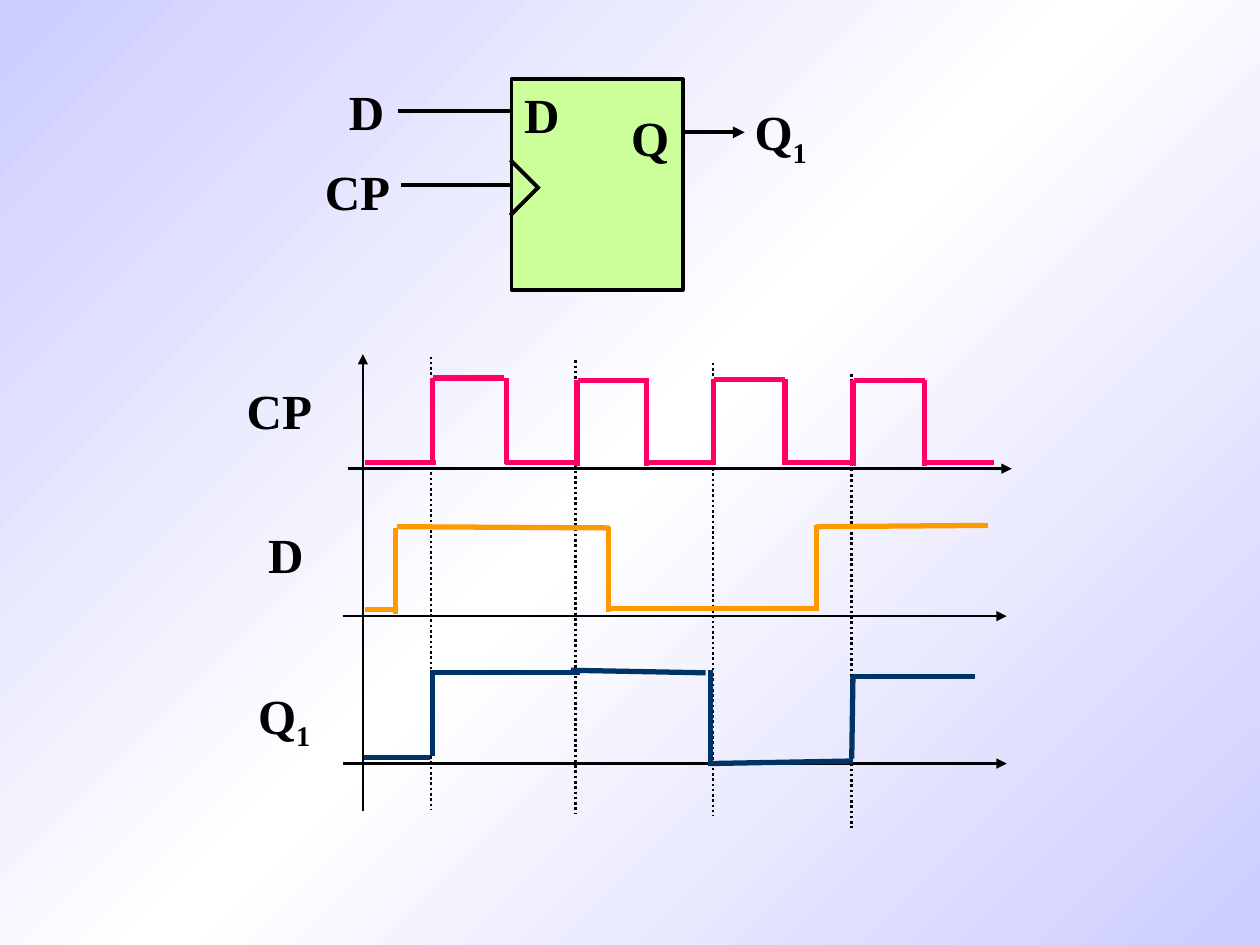
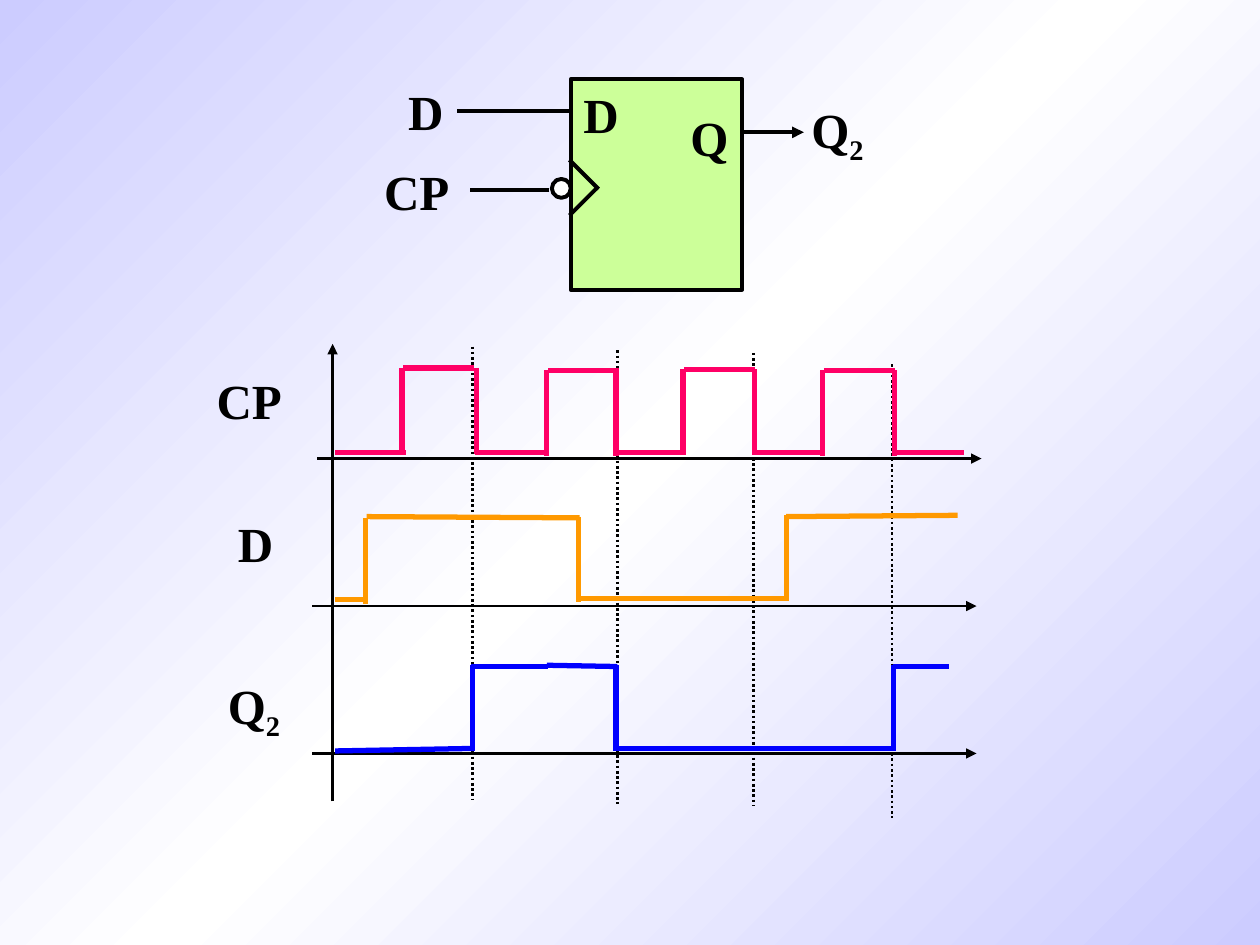
from copy import deepcopy
from dataclasses import dataclass

from lxml.etree import SubElement
from pptx import Presentation
from pptx.dml.color import RGBColor
from pptx.enum.dml import MSO_LINE
from pptx.enum.shapes import MSO_CONNECTOR, MSO_SHAPE
from pptx.enum.text import MSO_ANCHOR, MSO_AUTO_SIZE, PP_ALIGN
from pptx.oxml.ns import qn
from pptx.util import Emu, Pt

PX = 9144  # 100 px to the inch
FONT = "Times New Roman"
BLACK, WHITE, LAVENDER = "000000", "FFFFFF", "CCCCFF"
BLOCK_GREEN, CLOCK_PINK, DATA_ORANGE = "CCFF99", "FF0066", "FF9900"

Stroke = tuple[int, int, int, int]  # x1, y1, x2, y2


@dataclass(frozen=True)
class Pen:
    color: str
    width: float
    dotted: bool = False
    arrow: bool = False


@dataclass(frozen=True)
class Label:
    text: str
    left: int
    top: int
    width: int
    height: int = 57
    subscript: str = ""
    centered: bool = False


@dataclass(frozen=True)
class Pulse:
    rise: int
    fall: int
    top: int


@dataclass(frozen=True)
class FlipFlopPage:
    output: str  # subscript of Q
    inverted_clock: bool
    block_dx: int
    output_at: tuple[int, int]
    chart_dx: int
    chart_dy: int
    edges: tuple[int, ...]  # where the clock samples D
    output_color: str
    output_wave: tuple[Stroke, ...]


AXIS = Pen(BLACK, 1.5)
AXIS_ARROW = Pen(BLACK, 1.5, arrow=True)
EDGE = Pen(BLACK, 1.5, dotted=True)
WIRE = Pen(BLACK, 2.25)
WIRE_ARROW = Pen(BLACK, 2.25, arrow=True)

# Shared timing chart
AXES = ((276, 372, 803, 372), (272, 489, 799, 489),
        (272, 606, 799, 606), (288, 644, 288, 281))
EDGE_TOPS, EDGE_LENGTH = (283, 286, 288, 297), 360
PULSES = (Pulse(343, 402, 300), Pulse(458, 513, 302),
          Pulse(566, 623, 301), Pulse(677, 734, 302))
PULSE_WIDTH, PULSE_HEIGHT, CLOCK_LOW = 56, 68, 367
DATA_WAVE = ((290, 484, 316, 484), (314, 419, 314, 487), (315, 418, 484, 419),
             (483, 418, 483, 486), (484, 483, 648, 483),
             (648, 417, 648, 485), (648, 418, 784, 417))

PAGES = (
    FlipFlopPage("1", False, 0, (589, 76), 0, 0, (342, 457, 566, 676), "003366",
                 ((289, 601, 341, 601), (343, 600, 343, 532), (343, 534, 460, 534),
                  (453, 532, 560, 534), (564, 608, 564, 532), (563, 606, 677, 604),
                  (676, 602, 677, 536), (676, 537, 774, 537))),
    FlipFlopPage("2", True, 47, (634, 74), -24, -8, (375, 490, 598, 708), "0000FF",
                 ((266, 596, 376, 594), (375, 596, 375, 528), (374, 529, 435, 529),
                  (434, 528, 490, 529), (489, 596, 489, 528), (491, 594, 711, 594),
                  (709, 594, 709, 528), (709, 529, 753, 529))),
)


def px(length: int) -> Emu:
    return Emu(length * PX)


def rgb(color: str) -> RGBColor:
    return RGBColor.from_string(color)


def set_background(master) -> None:
    """Give every page the diagonal lavender-white-lavender gradient."""
    fill = master.background.fill
    fill.gradient()
    stop_list = next(master.element.iter(qn("a:gsLst")))
    stop_list.append(deepcopy(stop_list[0]))
    colors = ((0, LAVENDER), (0.5, WHITE), (1, LAVENDER))
    for stop, (position, color) in zip(fill.gradient_stops, colors):
        stop.position = position
        stop.color.rgb = rgb(color)
    fill.gradient_angle = 135


def draw_line(page, stroke: Stroke, pen: Pen, dx: int = 0, dy: int = 0):
    x1, y1, x2, y2 = stroke
    line = page.shapes.add_connector(MSO_CONNECTOR.STRAIGHT, px(x1 + dx), px(y1 + dy),
                                     px(x2 + dx), px(y2 + dy))
    line.line.color.rgb = rgb(pen.color)
    line.line.width = Pt(pen.width)
    if pen.dotted:
        line.line.dash_style = MSO_LINE.ROUND_DOT
    properties = line._element.spPr
    if pen.arrow:
        SubElement(properties.find(qn("a:ln")), qn("a:tailEnd"), type="triangle")
    SubElement(properties, qn("a:effectLst"))
    return line


def draw_shape(page, preset: MSO_SHAPE, left: int, top: int, width: int, height: int,
               color: str):
    shape = page.shapes.add_shape(preset, px(left), px(top), px(width), px(height))
    shape.shadow.inherit = False
    shape.fill.solid()
    shape.fill.fore_color.rgb = rgb(color)
    shape.line.color.rgb = rgb(BLACK)
    shape.line.width = Pt(2.25)
    return shape


def draw_label(page, label: Label, dx: int = 0, dy: int = 0) -> None:
    box = page.shapes.add_textbox(px(label.left + dx), px(label.top + dy),
                                  px(label.width), px(label.height))
    frame = box.text_frame
    frame.word_wrap = not label.centered
    frame.auto_size = MSO_AUTO_SIZE.SHAPE_TO_FIT_TEXT
    para = frame.paragraphs[0]
    para.text = label.text
    para.space_before = Pt(17.5)
    if label.centered:
        frame.vertical_anchor = MSO_ANCHOR.MIDDLE
        para.alignment = PP_ALIGN.CENTER
    if label.subscript:
        span = para.add_run()
        span.text = label.subscript
        span._r.get_or_add_rPr().set("baseline", "-25000")
    for span in para.runs:
        span.font.name = FONT
        span.font.size = Pt(28)
        span.font.bold = True
        span.font.color.rgb = rgb(BLACK)


def clock_wave() -> list[Stroke]:
    """Low levels after the axis and each fall, and three sides of each pulse."""
    starts = [290] + [pulse.fall - 1 for pulse in PULSES]
    strokes = [(x, CLOCK_LOW, x + PULSE_WIDTH, CLOCK_LOW) for x in starts]
    for pulse in PULSES:
        bottom = pulse.top + PULSE_HEIGHT
        strokes += [(pulse.rise, pulse.top, pulse.rise, bottom),
                    (pulse.rise + 1, pulse.top, pulse.rise + 1 + PULSE_WIDTH, pulse.top),
                    (pulse.fall, pulse.top, pulse.fall, bottom)]
    return strokes


def draw_timing_chart(page, data: FlipFlopPage) -> None:
    shift = data.chart_dx, data.chart_dy
    for label in (Label("CP", 186, 297, 75), Label("D", 203, 411, 67),
                  Label("Q", 195, 539, 75, 63, data.output)):
        draw_label(page, label, *shift)
    # Sampling edges and axes
    for x, top in zip(data.edges, EDGE_TOPS):
        draw_line(page, (x, top, x, top + EDGE_LENGTH), EDGE, 0, data.chart_dy)
    for axis in AXES:
        draw_line(page, axis, AXIS_ARROW, *shift)
    # Clock, data and output signals
    for stroke in clock_wave():
        draw_line(page, stroke, Pen(CLOCK_PINK, 3), *shift)
    for stroke in DATA_WAVE:
        draw_line(page, stroke, Pen(DATA_ORANGE, 3), *shift)
    for stroke in data.output_wave:
        draw_line(page, stroke, Pen(data.output_color, 3))


def draw_block(page, data: FlipFlopPage) -> None:
    dx = data.block_dx
    block = draw_shape(page, MSO_SHAPE.RECTANGLE, 406 + dx, 63, 136, 167, BLOCK_GREEN)
    # Data input and clock wedge
    for stroke in ((316, 88, 406, 88), (405, 127, 428, 150), (427, 149, 405, 171)):
        draw_line(page, stroke, WIRE, dx)
    draw_line(page, (542, 105, 591, 105), WIRE_ARROW, dx)
    # Clock input
    if data.inverted_clock:
        draw_shape(page, MSO_SHAPE.OVAL, 391 + dx, 142, 15, 15, WHITE)
        draw_line(page, (389, 151, 326, 151), WIRE, dx)
    else:
        clock = draw_line(page, (406, 146, 318, 146), WIRE, dx)
        clock.begin_connect(block, 1)
        clock.end_y = clock.begin_y
    # Pin names
    for label in (Label("D", 406, 62, 48, centered=True),
                  Label("Q", 491, 80, 50, centered=True),
                  Label("D", 267, 60, 57), Label("CP", 248, 123, 73)):
        draw_label(page, label, dx)
    draw_label(page, Label("Q", *data.output_at, 79, 63, data.output))


def main() -> None:
    deck = Presentation()
    deck.slide_width, deck.slide_height = px(1000), px(750)
    set_background(deck.slide_master)
    blank = deck.slide_layouts.get_by_name("Blank")
    for data in PAGES:
        page = deck.slides.add_slide(blank)
        draw_timing_chart(page, data)
        draw_block(page, data)
    deck.save("out.pptx")


if __name__ == "__main__":
    main()
